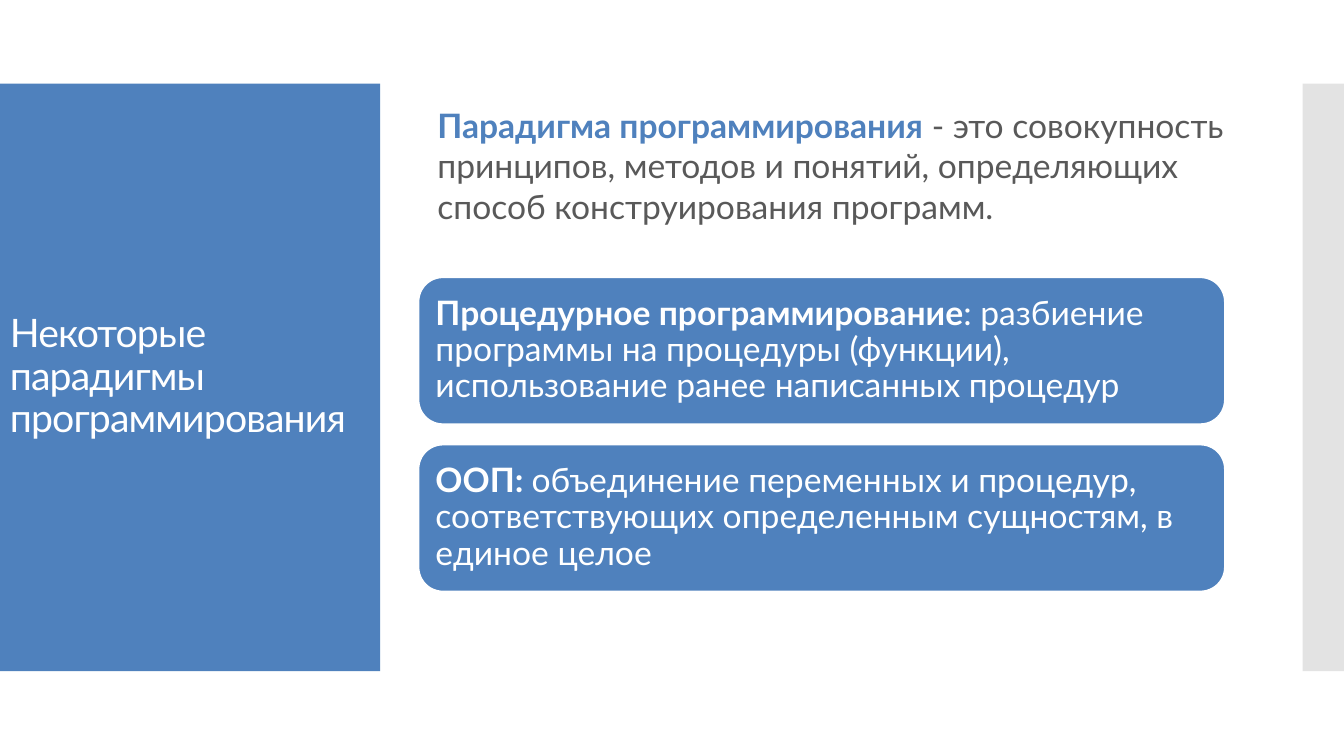
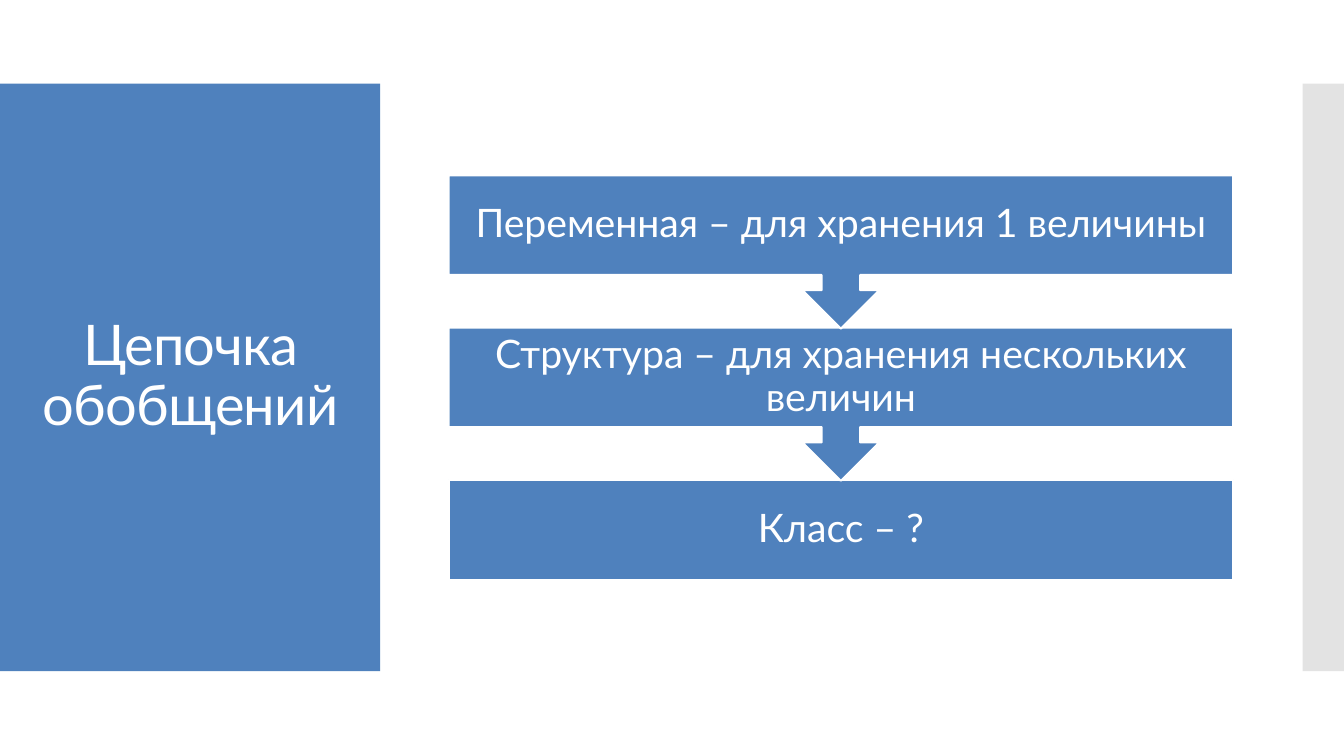
from pptx import Presentation
from pptx import util as u
from pptx.dml.color import RGBColor
from pptx.enum import shapes, text

BLUE, WHITE, GREY, BODY = "4F81BD", "FFFFFF", "E3E3E3", "595959"
FONT = "Lato"
LEFT, CENTER = text.PP_ALIGN.LEFT, text.PP_ALIGN.CENTER
TOP, MIDDLE = text.MSO_ANCHOR.TOP, text.MSO_ANCHOR.MIDDLE
KIND = shapes.MSO_SHAPE


def color(value):
    return RGBColor.from_string(value)


class Builder:
    """Holds the deck style and the current slide."""

    def __init__(self):
        self.deck = Presentation()
        self.deck.slide_width = u.Inches(13.33)
        self.deck.slide_height = u.Inches(7.5)
        self.page = None

    def add_page(self):
        self.page = self.deck.slides.add_slide(self.deck.slide_layouts[6])
        self.add_box(KIND.RECTANGLE, 0, 0.83, 3.77, 5.83, BLUE)
        self.add_box(KIND.RECTANGLE, 12.92, 0.83, 0.41, 5.83, GREY)

    def add_box(self, kind, left, top, width, height, fill, line=None):
        box = self.page.shapes.add_shape(
            kind, u.Inches(left), u.Inches(top), u.Inches(width), u.Inches(height))
        box.shadow.inherit = False
        box.fill.solid()
        box.fill.fore_color.rgb = color(fill)
        if line:
            box.line.color.rgb = color(line)
            box.line.width = u.Pt(1.35)
        else:
            box.line.fill.background()
        return box

    def add_text_box(self, left, top, width, height):
        return self.page.shapes.add_textbox(
            u.Inches(left), u.Inches(top), u.Inches(width), u.Inches(height))

    def set_text(self, box, spans, size, align=LEFT, spacing=0.9, inset=0.1,
                 anchor=MIDDLE):
        """Fill a box with one paragraph of (wording, colour, bold) spans."""
        frame = box.text_frame
        frame.word_wrap = True
        frame.vertical_anchor = anchor
        frame.margin_left = frame.margin_right = u.Inches(inset)
        frame.margin_top = frame.margin_bottom = u.Inches(inset)
        para = frame.paragraphs[0]
        para.alignment, para.line_spacing = align, spacing
        for wording, tone, bold in spans:
            span = para.add_run()
            span.text = wording
            span.font.name, span.font.size, span.font.bold = FONT, u.Pt(size), bold
            span.font.color.rgb = color(tone)
        return para

    def add_title(self, wording, left, width, size, align=LEFT):
        box = self.add_text_box(left, 1.23, width, 5.03)
        para = self.set_text(box, [(wording, WHITE, False)], size, align)
        para.runs[0]._r.get_or_add_rPr().set("spc", "-60")

    def add_definition(self, term, meaning):
        box = self.add_text_box(4.24, 1.04, 8.3, 1.31)
        box.text_frame.auto_size = text.MSO_AUTO_SIZE.NONE
        para = self.set_text(box, [(term, BLUE, True), (meaning, BODY, False)],
                             24, spacing=1.0, anchor=TOP)
        box.top = u.Inches(0.99)
        box.text_frame.margin_top = u.Inches(0.05)
        return para

    def add_card(self, top, term, meaning):
        box = self.add_box(KIND.ROUNDED_RECTANGLE, 4.15, top, 8, 1.46, BLUE, WHITE)
        self.set_text(box, [(term, WHITE, True), (meaning, WHITE, False)], 24)

    def add_step(self, top, wording, is_last):
        kind = KIND.RECTANGLE if is_last else KIND.DOWN_ARROW_CALLOUT
        height = 0.99 if is_last else 1.52
        box = self.add_box(kind, 4.45, top, 7.78, height, BLUE, WHITE)
        self.set_text(box, [(wording, WHITE, False)], 28, CENTER, inset=0.22)


builder = Builder()

# Slide 1: programming paradigms
builder.add_page()
cards = [
    ("Процедурное программирование",
     ": разбиение программы на процедуры (функции), "
     "использование ранее написанных процедур"),
    ("ООП: ",
     "объединение переменных и процедур, соответствующих "
     "определенным сущностям, в единое целое"),
]
for index, (term, meaning) in enumerate(cards):
    builder.add_card(2.75 + 1.66 * index, term, meaning)
builder.add_title("Некоторые парадигмы программирования", 0, 3.74, 28)
builder.add_definition(
    "Парадигма программирования",
    " - это совокупность принципов, методов и понятий, "
    "определяющих способ конструирования программ.")

# Slide 2: chain of generalisations, last step at the back
builder.add_page()
builder.add_title("Цепочка обобщений", 0.28, 3.22, 40, CENTER)
steps = [
    "Переменная – для хранения 1 величины",
    "Структура – для хранения нескольких величин",
    "Класс – ?",
]
last = len(steps) - 1
for index in range(last, -1, -1):
    builder.add_step(1.74 + 1.51 * index, steps[index], index == last)

builder.deck.save("out.pptx")
